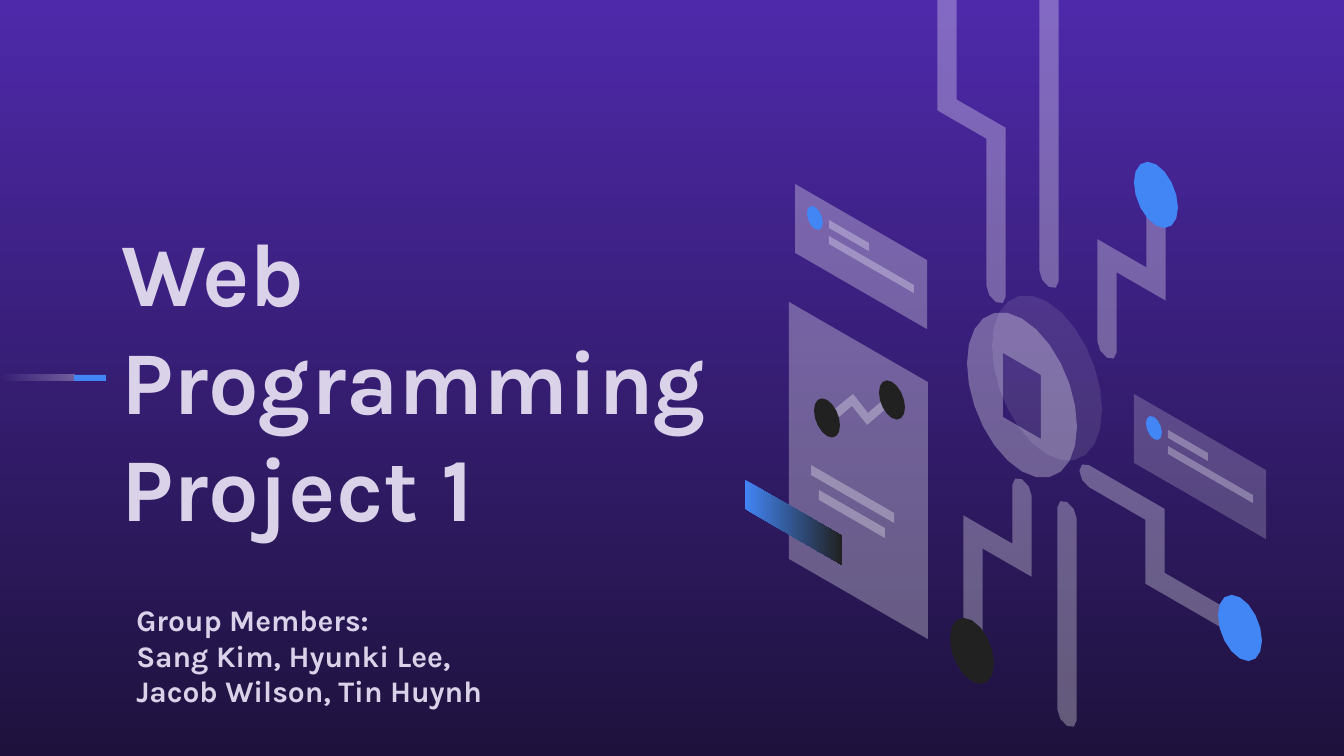
from dataclasses import dataclass
from math import atan2, cos, pi, sin, tan

from lxml import etree
from pptx import Presentation, util as u
from pptx.dml.color import RGBColor
from pptx.enum import shapes, text
from pptx.oxml.ns import qn

PX = 914400 / 134.4
SLOPE = tan(pi / 6)


@dataclass(frozen=True)
class Theme:
    top: str = "4E29AA"
    base: str = "1E123D"
    blue: str = "4285F4"
    dark: str = "212121"
    white: str = "FFFFFF"
    ink: str = "D9D2E9"
    font: str = "Karla"
    title: int = 48
    body: int = 16


T = Theme()


def px(n):
    return u.Emu(round(n * PX))


def tilt(x, y, du, dv):
    """Step from (x, y) by du along the slanted axis and dv down."""
    return x + du, y + dv + du * SLOPE


def fade(node, alpha):
    """Make a colour node see-through; alpha is a percentage."""
    etree.SubElement(node, qn("a:alpha"), val=str(alpha * 1000))


def blend(fill, first, last, angle):
    fill.gradient()
    fill.gradient_angle = angle
    for stop, tone in zip(fill.gradient_stops, (first, last)):
        stop.color.rgb = RGBColor.from_string(tone)


def paint(shape, tone, alpha=100, end=None):
    """Fill with one tone, or blend from tone to end, left to right."""
    shape.shadow.inherit = False
    shape.line.fill.background()
    if end:
        blend(shape.fill, tone, end, 0)
        return
    shape.fill.solid()
    shape.fill.fore_color.rgb = RGBColor.from_string(tone)
    if alpha < 100:
        fade(next(shape.fill._xPr.iter(qn("a:srgbClr"))), alpha)


def add_form(slide, *rings, tone=T.white, alpha=30, end=None):
    """Draw closed rings of points as one shape; later rings cut holes."""
    rings = [[(px(x), px(y)) for x, y in ring] for ring in rings]
    form = slide.shapes.build_freeform(*rings[0][0])
    form.add_line_segments(rings[0][1:])
    for ring in rings[1:]:
        form.move_to(*ring[0])
        form.add_line_segments(ring[1:])
    paint(form.convert_to_shape(), tone, alpha, end)


def slab(x, y, w, h):
    """Corners of a slanted panel."""
    return [tilt(x, y, *step) for step in ((0, 0), (w, 0), (w, h), (0, h))]


def arc(x, y, a, b, start, sweep, count):
    """Points of a slanted ellipse arc."""
    turns = (start + sweep * i / count for i in range(count + 1))
    return [tilt(x, y, a * cos(t), b * sin(t)) for t in turns]


def disc(x, y, a):
    count = 24 if a > 30 else 16 if a > 10 else 12
    return arc(x, y, a, 1.39 * a, 0, 2 * pi, count)[:-1]


def pipe(x, y, *moves, a=9.6, b=11):
    """Outline of a round-ended pipe that runs by (du, dv) moves."""
    spots = [(x, y)]
    for move in moves:
        spots.append(tilt(*spots[-1], *move))
    ways = [((du > 0) - (du < 0), (dv > 0) - (dv < 0)) for du, dv in moves]

    def side(sign):
        return [tilt(*spot, sign * a * (p[1] + q[1]), -sign * b * (p[0] + q[0]))
                for spot, p, q in zip(spots[1:], ways, ways[1:])]

    def cap(spot, way, back):
        return arc(*spot, a, b, atan2(way[1], way[0]) + back - pi / 2, pi, 4)

    return (side(1) + cap(spots[-1], ways[-1], 0)
            + side(-1)[::-1] + cap(spots[0], ways[0], pi))


def add_card(slide, x, y, alpha):
    add_form(slide, slab(x, y, 132, 69), alpha=alpha)
    for top, wide in ((36, 40), (52, 85)):
        add_form(slide, slab(x + 34, y + top, wide, 8), alpha=30)
    add_form(slide, disc(x + 20, y + 34, 8), tone=T.blue, alpha=100)


def add_text(slide, box, lines, size, anchor=text.MSO_ANCHOR.TOP,
             fit=text.MSO_AUTO_SIZE.NONE):
    frame = slide.shapes.add_textbox(*map(px, box)).text_frame
    frame.word_wrap = True
    frame.auto_size = fit
    frame.vertical_anchor = anchor
    frame.margin_left = frame.margin_right = u.Inches(0.1)
    frame.margin_top = frame.margin_bottom = u.Inches(0.1)
    for i, line in enumerate(lines):
        para = frame.add_paragraph() if i else frame.paragraphs[0]
        run = para.add_run()
        run.text = line
        font = run.font
        font.name, font.size, font.bold = T.font, u.Pt(size), True
        font.color.rgb = RGBColor.from_string(T.ink)


def add_dash(slide):
    """The glowing dash that points at the title."""
    def bar(x, w):
        return slide.shapes.add_shape(
            shapes.MSO_SHAPE.RECTANGLE, px(x), px(375), px(w), px(6))

    tail = bar(0, 75)
    paint(tail, T.white, end=T.white)
    for node, alpha in zip(tail.fill._xPr.iter(qn("a:srgbClr")), (0, 30)):
        fade(node, alpha)
    paint(bar(74, 32), T.blue)


def add_pipes(slide):
    for run in (
        (947, -72, (0, 177), (49, 0), (0, 158)),
        (973, 667, (0, -135), (49, 0), (0, -70)),
        (1049, -5, (0, 281)),
        (1156, 189, (0, 95), (-49, 0), (0, 91)),
        (1241, 628, (-86, 0), (0, -64), (-66, 0)),
        (1067, 513, (0, 202)),
    ):
        add_form(slide, pipe(*run))
    for x, y, tone in ((972, 651, T.dark), (1156, 195, T.blue),
                       (1240, 628, T.blue)):
        add_form(slide, disc(x, y, 22), tone=tone, alpha=100)


def add_report(slide):
    for box in ((789, 302, 139, 257), (811, 465, 83, 10), (819, 490, 66, 10)):
        add_form(slide, slab(*box))
    add_form(slide, slab(745, 480, 97, 29), tone=T.blue, end=T.dark)
    add_form(slide, [(888, 407), (867, 425), (852, 406), (833, 422),
                     (825, 417), (853, 394), (868, 413), (883, 400)])
    for x, y in ((892, 400), (827, 418)):
        add_form(slide, disc(x, y, 13), tone=T.dark, alpha=100)


def add_coin(slide):
    add_form(slide, disc(1047, 378, 55), alpha=10)
    add_form(slide, disc(1022, 395, 55), slab(1003, 353, 38, 64))


def main():
    deck = Presentation()
    deck.slide_width, deck.slide_height = px(1344), px(756)
    slide = deck.slides.add_slide(deck.slide_layouts[6])
    blend(slide.background.fill, T.top, T.base, 270)
    add_dash(slide)
    add_text(slide, (108, 201, 663, 355), ["Web Programming Project 1"],
             T.title, anchor=text.MSO_ANCHOR.MIDDLE)
    add_pipes(slide)
    add_report(slide)
    add_card(slide, 1134, 394, 20)
    add_card(slide, 795, 184, 30)
    add_coin(slide)
    add_text(slide, (123, 588, 495, 136),
             ["Group Members:", "Sang Kim, Hyunki Lee,",
              "Jacob Wilson, Tin Huynh"],
             T.body, fit=text.MSO_AUTO_SIZE.SHAPE_TO_FIT_TEXT)
    deck.save("out.pptx")


if __name__ == "__main__":
    main()
